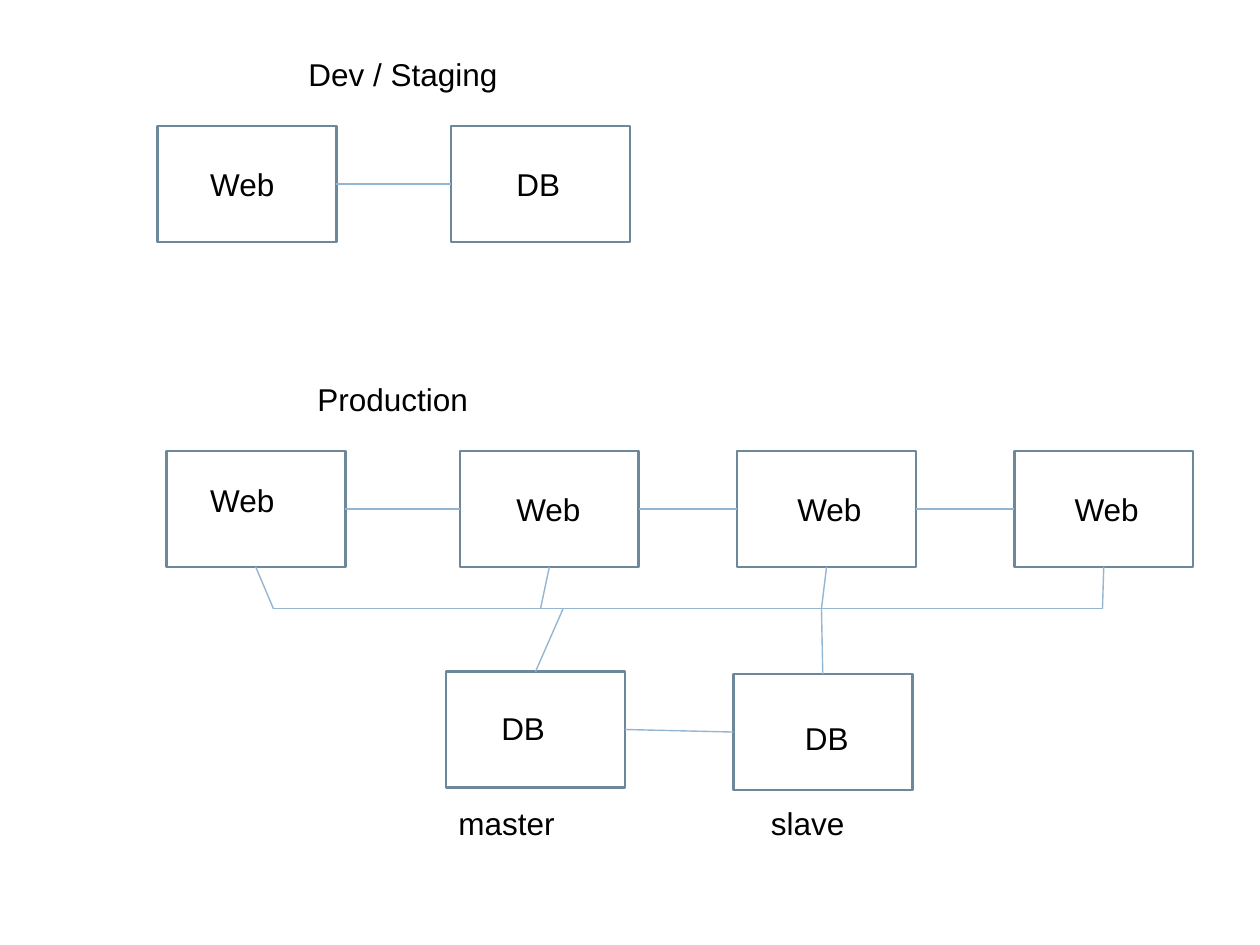
from lxml import etree
from pptx import Presentation
from pptx import util as u
from pptx.dml.color import RGBColor
from pptx.enum import shapes, text
from pptx.oxml.ns import qn

THEME = {
    "font": "Arial",
    "size": u.Pt(18),
    "ink": RGBColor.from_string("000000"),
    "border": RGBColor.from_string("6D879B"),
    "link": RGBColor.from_string("94B6D2"),
    "border_width": u.Pt(1.5),
    "link_width": u.Pt(0.79),
}
TOP, LEFT, BOTTOM, RIGHT = range(4)

prs = Presentation()
prs.slide_width, prs.slide_height = u.Inches(10), u.Inches(7.5)
s = prs.slides.add_slide(prs.slide_layouts[6])

# The slide is a grid of 100 columns by 75 rows.
COL, ROW = prs.slide_width / 100, prs.slide_height / 75
BOX_W, BOX_H = 14.2, 9.2
WEB_ROW, BUS_ROW, CAPTION_ROW = 35.8, 48.3, 63.3


def cells(x, y):
    """Turn a grid position or size into slide lengths."""
    return u.Emu(round(x * COL)), u.Emu(round(y * ROW))


def add_link(start, end):
    """Draw a thin line; each end is a grid point or a (box, side) pair."""
    ends = [e if isinstance(e[0], (int, float)) else None for e in (start, end)]
    points = [cells(*(e or (0, 0))) for e in ends]
    c = s.shapes.add_connector(shapes.MSO_CONNECTOR.STRAIGHT, *points[0], *points[1])
    if ends[0] is None:
        c.begin_connect(*start)
    if ends[1] is None:
        c.end_connect(*end)
    c.line.color.rgb = THEME["link"]
    c.line.width = THEME["link_width"]
    etree.SubElement(c._element.spPr, qn("a:effectLst"))


# Servers: name -> left, top
servers = {
    "dev web": (12.5, 10),
    "dev db": (35.8, 10),
    "web 1": (13.2, WEB_ROW),
    "web 2": (36.5, WEB_ROW),
    "web 3": (58.5, WEB_ROW),
    "web 4": (80.5, WEB_ROW),
    "master": (35.4, 53.3),
    "slave": (58.2, 53.5),
}
boxes = {}
for name, corner in servers.items():
    sp = s.shapes.add_shape(shapes.MSO_SHAPE.RECTANGLE, *cells(*corner), *cells(BOX_W, BOX_H))
    sp.shadow.inherit = False
    sp.fill.background()
    sp.line.color.rgb = THEME["border"]
    sp.line.width = THEME["border_width"]
    boxes[name] = sp

# Labels: wording, left, top, width, height
labels = [
    ("Dev / Staging", 23.5, 3.9, 24.6, 4.2),
    ("Production", 24.2, 29.7, 24.6, 4.2),
    ("Web", 15.7, 12.6, 9.4, 4),
    ("DB", 40, 12.6, 5.8, 4),
    ("Web", 15.7, 37.7, 9.4, 4),
    ("Web", 40, 38.4, 9.4, 4),
    ("Web", 62.3, 38.4, 9.4, 4),
    ("Web", 84.3, 38.4, 9.4, 4),
    ("DB", 38.8, 55.8, 5.8, 4),
    ("DB", 62.9, 56.6, 5.8, 4),
    ("master", 35.4, CAPTION_ROW, 13.4, 4),
    ("slave", 60.2, CAPTION_ROW, 11.5, 4),
]
for wording, x, y, w, h in labels:
    tf = s.shapes.add_textbox(*cells(x, y), *cells(w, h)).text_frame
    tf.word_wrap = True
    tf.auto_size = text.MSO_AUTO_SIZE.SHAPE_TO_FIT_TEXT
    tf.text = wording
    r = tf.paragraphs[0].runs[0]
    r.font.name, r.font.size = THEME["font"], THEME["size"]
    r.font.color.rgb = THEME["ink"]

# Neighbours are linked side to side
neighbours = [("dev web", "dev db"), ("web 1", "web 2"), ("web 2", "web 3"),
              ("web 3", "web 4"), ("master", "slave")]
for left, right in neighbours:
    add_link((boxes[left], RIGHT), (boxes[right], LEFT))

# The shared bus, and where each server meets it
add_link((21.7, BUS_ROW), (87.5, BUS_ROW))
taps = [("web 1", BOTTOM, 21.7), ("web 2", BOTTOM, 42.9), ("web 3", BOTTOM, 65.2),
        ("web 4", BOTTOM, 87.5), ("master", TOP, 44.7), ("slave", TOP, 65.2)]
for name, side, x in taps:
    add_link((boxes[name], side), (x, BUS_ROW))

prs.save("out.pptx")
